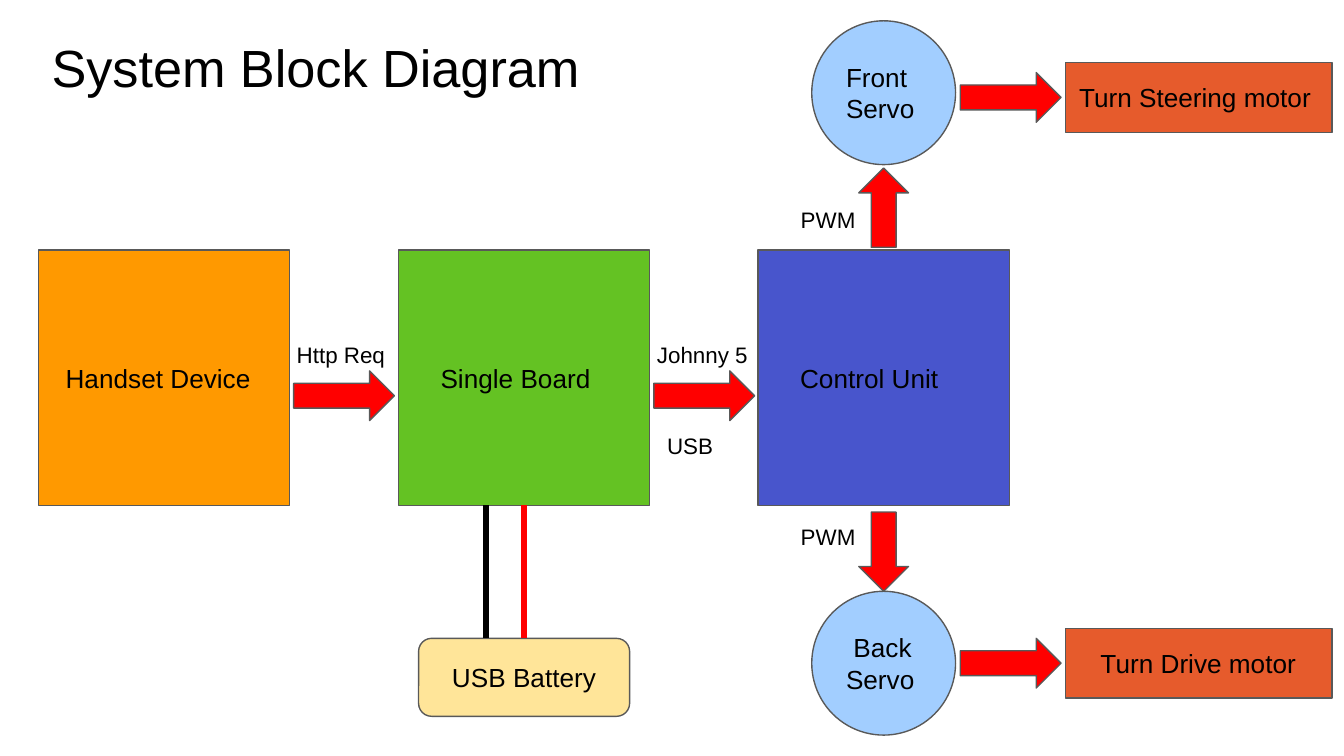
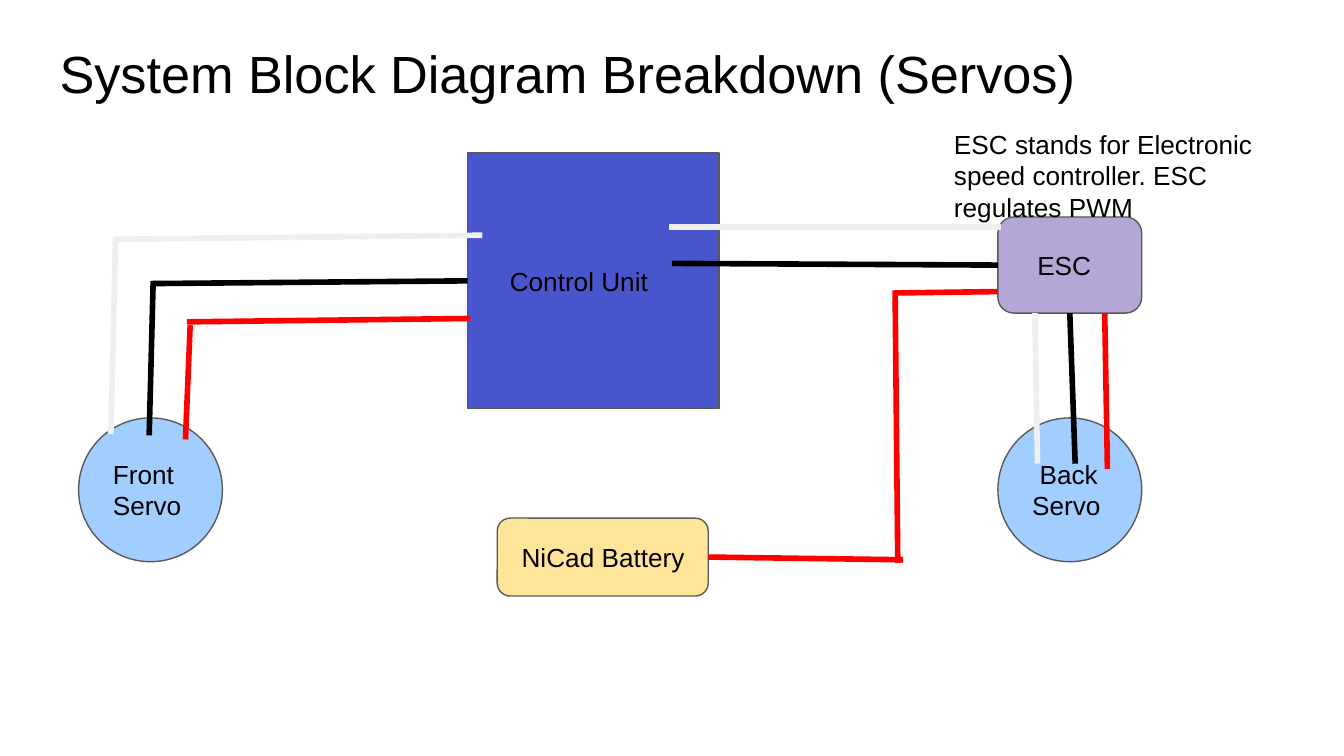
"""Build two slides that show the blocks of a remote-controlled car and its servo wiring."""
from dataclasses import dataclass
from typing import NamedTuple, Optional

from lxml.etree import SubElement
from pptx import Presentation
from pptx.dml.color import RGBColor
from pptx.enum.shapes import MSO_CONNECTOR as Connector, MSO_SHAPE as Shape
from pptx.enum.text import MSO_ANCHOR as Anchor, PP_ALIGN as Align
from pptx.oxml.ns import qn
from pptx.util import Emu, Pt

EMU_PER_PX = 4572
SLIDE_SIZE = (2000, 1125)

BLACK = RGBColor(0x00, 0x00, 0x00)
RED = RGBColor(0xFF, 0x00, 0x00)
PALE = RGBColor(0xEF, 0xEF, 0xEF)
OUTLINE = RGBColor(0x59, 0x59, 0x59)
ORANGE = RGBColor(0xFF, 0x99, 0x00)
GREEN = RGBColor(0x64, 0xC2, 0x23)
INDIGO = RGBColor(0x48, 0x55, 0xCC)
SKY = RGBColor(0xA2, 0xCE, 0xFF)
RUST = RGBColor(0xE2, 0x3F, 0x08)
CREAM = RGBColor(0xFF, 0xE5, 0x99)
LILAC = RGBColor(0xB4, 0xA7, 0xD6)

TOP, LEFT, BOTTOM, RIGHT = range(4)
TITLE_PT, BLOCK_PT, LABEL_PT = 28, 14, 12


def px(length: int) -> Emu:
    """Turn px into EMU."""
    return Emu(length * EMU_PER_PX)


FRAME_FORMAT = {
    "word_wrap": True,
    "margin_left": px(20),
    "margin_top": px(20),
    "margin_right": px(20),
    "margin_bottom": px(20),
}


@dataclass(frozen=True)
class Style:
    """Outline, size and fill shared by blocks of one sort."""
    preset: Shape
    width: int
    height: int
    fill: RGBColor
    opacity: int = 100


@dataclass(frozen=True)
class Block:
    """A filled block with its place, wording and first-line indent."""
    style: Style
    left: int
    top: int
    text: str = ""
    indent: int = 0
    align: Align = Align.LEFT
    rotation: int = 0


class Label(NamedTuple):
    """Free text in a box."""
    left: int
    top: int
    width: int
    height: int
    text: str
    size: int = LABEL_PT


class Joint(NamedTuple):
    """The middle of one side of a named block."""
    block: str
    side: int


class Wire(NamedTuple):
    """A straight wire, joined to blocks where joints are given."""
    color: RGBColor
    start: tuple[int, int]
    end: tuple[int, int]
    start_joint: Optional[Joint] = None
    end_joint: Optional[Joint] = None


PHONE = Style(Shape.FLOWCHART_PROCESS, 374, 380, ORANGE)
COMPUTER = Style(Shape.FLOWCHART_PROCESS, 374, 380, GREEN)
CONTROLLER = Style(Shape.FLOWCHART_PROCESS, 374, 380, INDIGO)
SERVO = Style(Shape.OVAL, 214, 214, SKY)
MOTOR = Style(Shape.RECTANGLE, 396, 104, RUST, 85)
BATTERY = Style(Shape.ROUNDED_RECTANGLE, 314, 116, CREAM)
SPEED_CONTROL = Style(Shape.ROUNDED_RECTANGLE, 214, 143, LILAC)
FLOW = Style(Shape.RIGHT_ARROW, 150, 74, RED)
SIGNAL = Style(Shape.RIGHT_ARROW, 118, 74, RED)

OVERVIEW_BLOCKS = {
    "phone": Block(PHONE, 57, 372, "Handset Device", 21),
    "front servo": Block(SERVO, 1208, 31, "Front Servo"),
    "back servo": Block(SERVO, 1208, 880, "Back Servo", 11),
    "computer": Block(COMPUTER, 593, 372, "Single Board", 43),
    "controller": Block(CONTROLLER, 1128, 372, "Control Unit", 43),
    "steering": Block(MOTOR, 1586, 93, "Turn Steering motor"),
    "drive": Block(MOTOR, 1586, 935, "Turn Drive motor", 32),
    "request": Block(FLOW, 437, 552),
    "commands": Block(FLOW, 973, 552),
    "steer": Block(FLOW, 1429, 108),
    "propel": Block(FLOW, 1429, 950),
    "back signal": Block(SIGNAL, 1256, 784, rotation=90),
    "front signal": Block(SIGNAL, 1256, 272, rotation=270),
    "battery": Block(BATTERY, 623, 950, "USB Battery", align=Align.CENTER),
}
OVERVIEW_LABELS = [
    Label(57, 32, 1864, 126, "System Block Diagram", TITLE_PT),
    Label(422, 488, 214, 74, "Http Req"),
    Label(958, 488, 214, 74, "Johnny 5"),
    Label(1172, 287, 154, 74, "PWM"),
    Label(1172, 758, 154, 74, "PWM"),
    Label(973, 623, 214, 74, "USB"),
]
OVERVIEW_WIRES = [
    Wire(RED, (780, 752), (780, 950), Joint("computer", BOTTOM), Joint("battery", TOP)),
    Wire(BLACK, (723, 752), (723, 950)),
]

SERVO_BLOCKS = {
    "front servo": Block(SERVO, 117, 622, "Front Servo"),
    "back servo": Block(SERVO, 1485, 622, "Back Servo", 11),
    "esc": Block(SPEED_CONTROL, 1485, 323, "ESC", 32),
    "controller": Block(CONTROLLER, 696, 228, "Control Unit", 43),
    "battery": Block(BATTERY, 740, 771, "NiCad Battery", 11),
}
SERVO_LABELS = [
    Label(69, 42, 1864, 126, "System Block Diagram Breakdown (Servos)", TITLE_PT),
    Label(1400, 171, 494, 164,
          "ESC stands for Electronic speed controller. ESC regulates PWM", BLOCK_PT),
]
SERVO_WIRES = [
    Wire(PALE, (1540, 466), (1544, 690)),
    Wire(BLACK, (1592, 466), (1600, 690), Joint("esc", BOTTOM)),
    Wire(RED, (1644, 466), (1648, 698)),
    Wire(PALE, (172, 354), (165, 646)),
    Wire(BLACK, (228, 418), (222, 648)),
    Wire(RED, (283, 484), (276, 654)),
    Wire(RED, (1054, 829), (1344, 833), Joint("battery", RIGHT)),
    Wire(RED, (1336, 838), (1332, 432)),
    Wire(RED, (1332, 436), (1484, 434)),
    Wire(PALE, (996, 338), (1490, 338)),
    Wire(BLACK, (1485, 394), (1000, 392), Joint("esc", LEFT)),
    Wire(RED, (278, 479), (700, 474)),
    Wire(BLACK, (696, 418), (228, 422), Joint("controller", LEFT)),
    Wire(PALE, (718, 350), (170, 356)),
]


def apply_format(target, values: dict) -> None:
    """Set each named attribute of the target."""
    for name, value in values.items():
        setattr(target, name, value)


def write_text(frame, text: str, size: int, anchor: Anchor,
               indent: int = 0, align: Align = Align.LEFT) -> None:
    """Fill a text frame with one formatted paragraph."""
    apply_format(frame, {**FRAME_FORMAT, "vertical_anchor": anchor})
    paragraph = frame.paragraphs[0]
    paragraph.alignment = align
    if indent:
        properties = paragraph._p.get_or_add_pPr()
        properties.set("marL", "0")
        properties.set("indent", str(px(indent)))
    run = paragraph.add_run()
    run.text = text
    apply_format(run.font, {"name": "Arial", "size": Pt(size)})
    run.font.color.rgb = BLACK


def draw_block(slide, block: Block):
    """Draw a block and return its shape."""
    style = block.style
    box = map(px, (block.left, block.top, style.width, style.height))
    shape = slide.shapes.add_shape(style.preset, *box)
    shape.shadow.inherit = False
    shape.rotation = block.rotation
    shape.fill.solid()
    shape.fill.fore_color.rgb = style.fill
    if style.opacity < 100:
        color = shape._element.spPr.find(".//" + qn("a:srgbClr"))
        SubElement(color, qn("a:alpha")).set("val", str(style.opacity * 1000))
    shape.line.color.rgb = OUTLINE
    shape.line.width = Pt(0.75)
    if block.text:
        write_text(shape.text_frame, block.text, BLOCK_PT, Anchor.MIDDLE,
                   block.indent, block.align)
    return shape


def draw_label(slide, label: Label) -> None:
    """Draw free text."""
    box = slide.shapes.add_textbox(*map(px, label[:4]))
    write_text(box.text_frame, label.text, label.size, Anchor.TOP)


def draw_wire(slide, wire: Wire, shapes: dict) -> None:
    """Draw a wire and join its ends."""
    line = slide.shapes.add_connector(Connector.STRAIGHT, *map(px, wire.start + wire.end))
    if wire.start_joint:
        line.begin_connect(shapes[wire.start_joint.block], wire.start_joint.side)
    if wire.end_joint:
        line.end_connect(shapes[wire.end_joint.block], wire.end_joint.side)
    line.line.color.rgb = wire.color
    line.line.width = Pt(3)
    SubElement(line._element.spPr, qn("a:effectLst"))


def draw_diagram(deck, blocks: dict[str, Block], labels: list[Label],
                 wires: list[Wire]) -> None:
    """Add a slide with its blocks, wires and labels."""
    slide = deck.slides.add_slide(deck.slide_layouts[6])
    shapes = {name: draw_block(slide, block) for name, block in blocks.items()}
    for wire in wires:
        draw_wire(slide, wire, shapes)
    for label in labels:
        draw_label(slide, label)


def main() -> None:
    """Build and save the deck."""
    deck = Presentation()
    deck.slide_width, deck.slide_height = map(px, SLIDE_SIZE)
    draw_diagram(deck, OVERVIEW_BLOCKS, OVERVIEW_LABELS, OVERVIEW_WIRES)
    draw_diagram(deck, SERVO_BLOCKS, SERVO_LABELS, SERVO_WIRES)
    deck.save("out.pptx")


if __name__ == "__main__":
    main()
